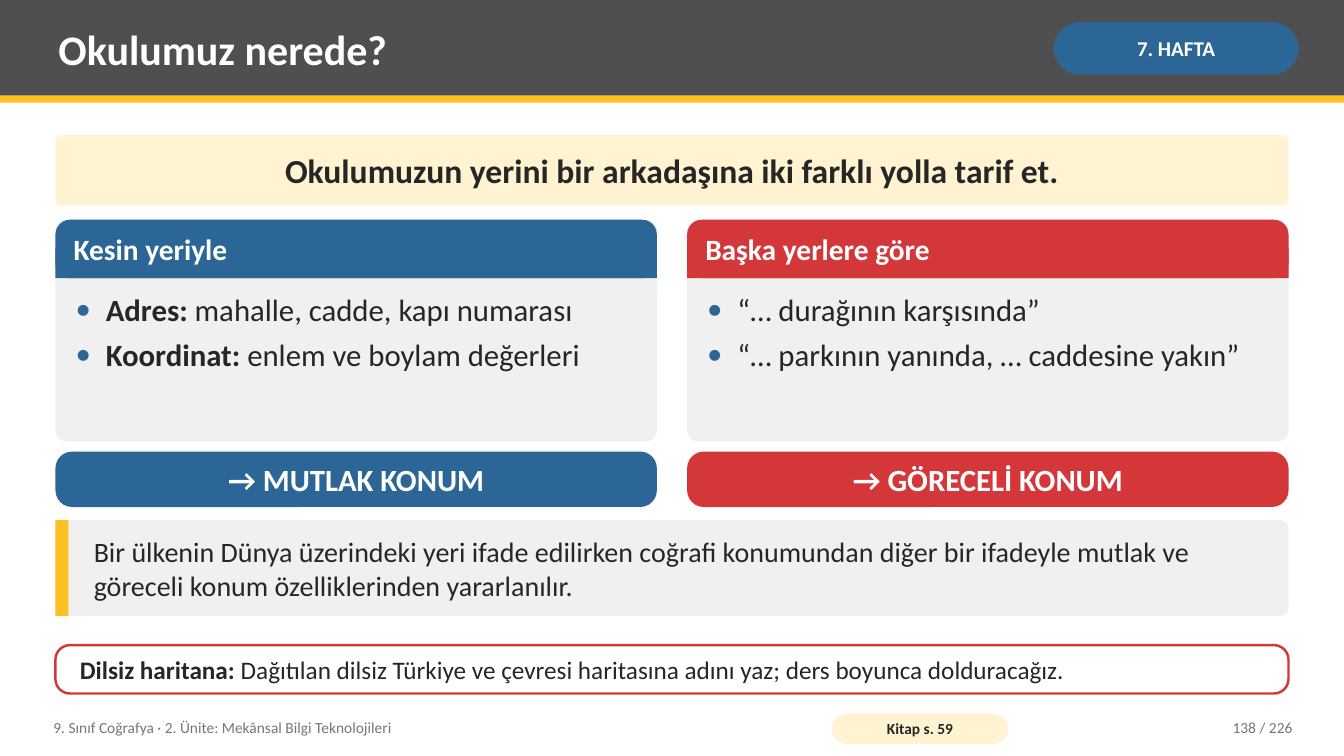
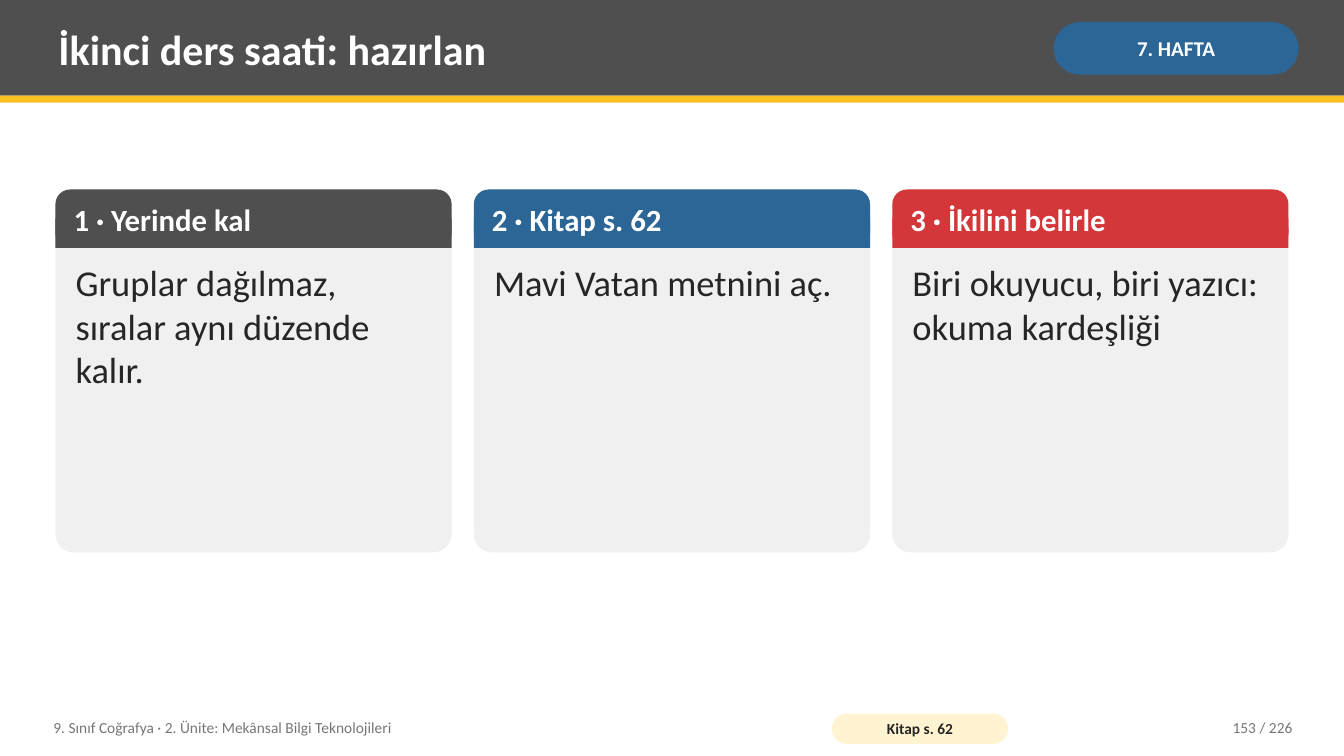
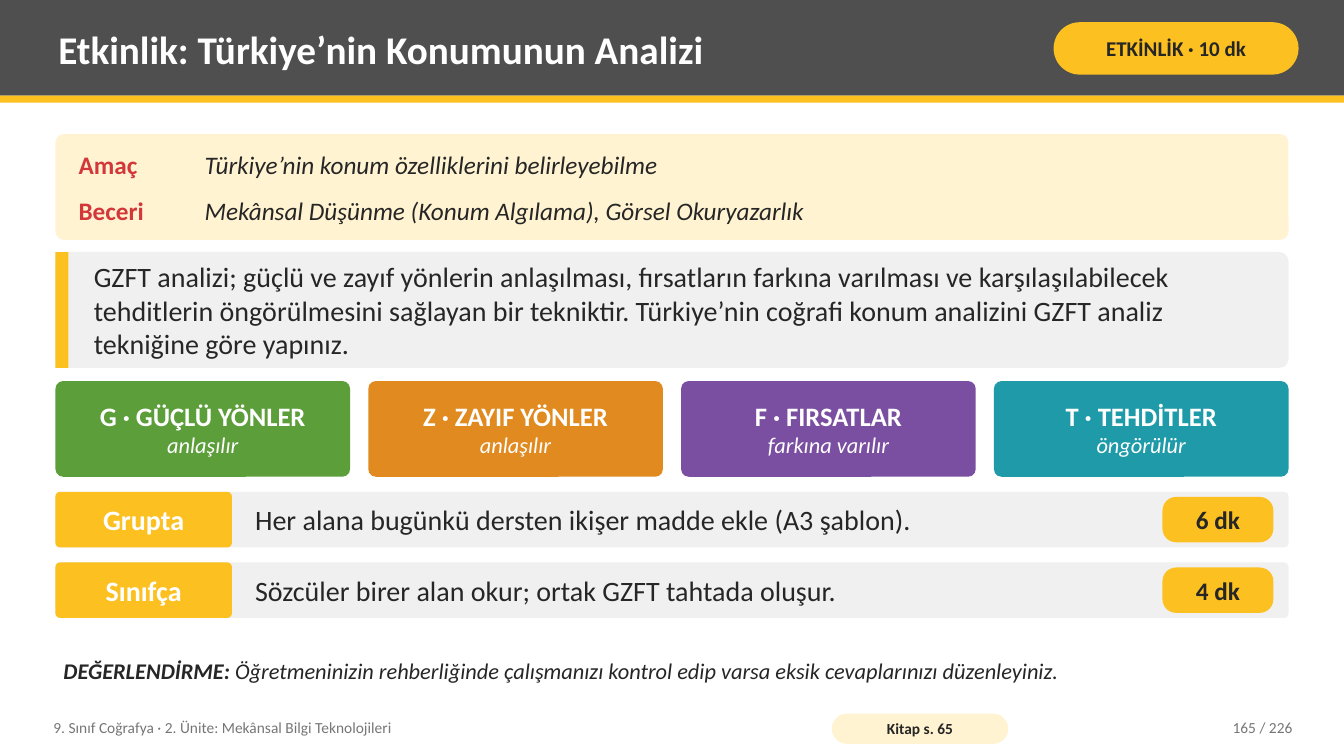
import pptx
import pptx.util
import pptx.enum.shapes
import pptx.enum.text
import pptx.dml.color
import pptx.oxml
import pptx.oxml.ns

W, H = 13.33, 7.5
M = 0.55
FULL = W - 2 * M
FONT = "Calibri"
C = {
    "band": "4F4F4F", "yellow": "FCC021", "blue": "2C6696", "red": "D3373A",
    "cream": "FFF3D1", "panel": "F0F0F0", "ink": "262626", "white": "FFFFFF",
    "muted": "767676", "green": "5C9E3A", "orange": "E08A1F",
    "purple": "7A4EA0", "teal": "1E9AA8",
}
RGB = {k: pptx.dml.color.RGBColor.from_string(v) for k, v in C.items()}
ALIGN = pptx.enum.text.PP_ALIGN
ANCHOR = pptx.enum.text.MSO_ANCHOR
SHAPE = pptx.enum.shapes.MSO_SHAPE
BOLD, PLAIN, ITALIC = {"bold": True}, {"bold": False}, {"italic": True}


def box(s, x, y, w, h, fill=None, adj=None, line=None):
    at = [pptx.util.Inches(v) for v in (x, y, w, h)]
    if fill is None:
        return s.shapes.add_textbox(*at)
    sp = s.shapes.add_shape(SHAPE.ROUNDED_RECTANGLE if adj else SHAPE.RECTANGLE, *at)
    sp.shadow.inherit = False
    if adj:
        sp.adjustments[0] = adj
    sp.fill.solid()
    sp.fill.fore_color.rgb = RGB[fill]
    if line:
        sp.line.color.rgb = RGB[line]
        sp.line.width = pptx.util.Pt(1.75)
    else:
        sp.line.fill.background()
    return sp


def write(sp, paras, size, color="ink", align=ALIGN.LEFT, anchor=ANCHOR.MIDDLE,
          ins=(0.08, 0.04), bullet=False, **fmt):
    tf = sp.text_frame
    dx, dy = [pptx.util.Inches(v) for v in ins]
    for k, v in {"word_wrap": True, "vertical_anchor": anchor, "margin_left": dx,
                 "margin_right": dx, "margin_top": dy, "margin_bottom": dy}.items():
        setattr(tf, k, v)
    if isinstance(paras, str):
        paras = [[(paras, {})]]
    for n, runs in enumerate(paras):
        p = tf.add_paragraph() if n else tf.paragraphs[0]
        p.alignment = align
        if bullet:
            pPr = p._p.get_or_add_pPr()
            pPr.set("marL", str(pptx.util.Inches(0.3)))
            pPr.set("indent", str(-pptx.util.Inches(0.3)))
            ns = pptx.oxml.ns.nsdecls("a")
            for xml in (f'<a:buClr {ns}><a:srgbClr val="{C["blue"]}"/></a:buClr>',
                        f'<a:buFont {ns} typeface="{FONT}"/>',
                        f'<a:buChar {ns} char="•"/>'):
                pPr.append(pptx.oxml.parse_xml(xml))
            p.space_after = pptx.util.Pt(6)
        for text, own in runs:
            r = p.add_run()
            r.text = text
            r.font.color.rgb = RGB[color]
            for k, v in {"name": FONT, "size": pptx.util.Pt(size), **fmt, **own}.items():
                setattr(r.font, k, v)


prs = pptx.Presentation()
prs.slide_width = pptx.util.Inches(W)
prs.slide_height = pptx.util.Inches(H)

slides = []
for title, size, tag, tag_fill, tag_color, book, number in [
    ("Okulumuz nerede?", 30, "7. HAFTA", "blue", "white", "Kitap s. 59", "138 / 226"),
    ("İkinci ders saati: hazırlan", 30, "7. HAFTA", "blue", "white", "Kitap s. 62", "153 / 226"),
    ("Etkinlik: Türkiye’nin Konumunun Analizi", 28, "ETKİNLİK · 10 dk", "yellow", "ink",
     "Kitap s. 65", "165 / 226"),
]:
    s = prs.slides.add_slide(prs.slide_layouts[6])
    slides.append(s)
    box(s, 0, 0, W, 0.95, "band")
    box(s, 0, 0.95, W, 0.07, "yellow")
    write(box(s, 0.5, 0.07, 9.75, 0.82), title, size, "white", bold=True)
    write(box(s, 10.45, 0.22, 2.43, 0.52, tag_fill, 0.5), tag, 15, tag_color,
          ALIGN.CENTER, ins=(0.05, 0.02), bold=True)
    write(box(s, 0.45, 7.04, 7.6, 0.36),
          "9. Sınıf Coğrafya · 2. Ünite: Mekânsal Bilgi Teknolojileri", 11, "muted")
    write(box(s, 8.25, 7.08, 1.75, 0.3, "cream", 0.5), book, 11, "ink",
          ALIGN.CENTER, ins=(0.04, 0), bold=True)
    write(box(s, 11.3, 7.04, 1.6, 0.36), number, 11, "muted", ALIGN.RIGHT)
where, ready, activity = slides

write(box(where, M, 1.34, FULL, 0.7, "cream", 0.08),
      "Okulumuzun yerini bir arkadaşına iki farklı yolla tarif et.", 24, "ink",
      ALIGN.CENTER, ins=(0.14, 0.02), bold=True)

for s, top, h, gap, head_size, body_size, bullet, cards in [
    (where, 2.18, 2.2, 0.3, 21, 22, True, [
        ("Kesin yeriyle", "blue", [
            [("Adres:", BOLD), (" mahalle, cadde, kapı numarası", PLAIN)],
            [("Koordinat:", BOLD), (" enlem ve boylam değerleri", PLAIN)]]),
        ("Başka yerlere göre", "red", [
            [("“… durağının karşısında”", {})],
            [("“… parkının yanında, … caddesine yakın”", {})]]),
    ]),
    (ready, 1.88, 3.6, 0.22, 22, 26, False, [
        ("1 · Yerinde kal", "band", "Gruplar dağılmaz, sıralar aynı düzende kalır."),
        ("2 · Kitap s. 62", "blue", "Mavi Vatan metnini aç."),
        ("3 · İkilini belirle", "red", "Biri okuyucu, biri yazıcı: okuma kardeşliği"),
    ]),
]:
    w = (FULL - gap * (len(cards) - 1)) / len(cards)
    for n, (head, fill, body) in enumerate(cards):
        x = M + n * (w + gap)
        box(s, x, top, w, h, "panel", 0.05)
        box(s, x, top, w, 0.58, fill, 0.25)
        box(s, x, top + 0.29, w, 0.29, fill)
        write(box(s, x + 0.1, top, w - 0.2, 0.58), head, head_size, "white", bold=True)
        write(box(s, x + 0.12, top + 0.66, w - 0.24, h - 0.74), body, body_size,
              anchor=ANCHOR.TOP, bullet=bullet)

w = (FULL - 0.3) / 2
for n, (text, fill) in enumerate([("→ MUTLAK KONUM", "blue"), ("→ GÖRECELİ KONUM", "red")]):
    write(box(where, M + n * (w + 0.3), 4.48, w, 0.55, fill, 0.3), text, 22, "white",
          ALIGN.CENTER, ins=(0.14, 0), bold=True)

box(activity, M, 1.33, FULL, 1.05, "cream", 0.08)
for y, h, label, text in [
    (1.39, 0.49, "Amaç", "Türkiye’nin konum özelliklerini belirleyebilme"),
    (1.86, 0.46, "Beceri", "Mekânsal Düşünme (Konum Algılama), Görsel Okuryazarlık"),
]:
    write(box(activity, 0.7, y, 1.25, h), label, 18, "red", bold=True)
    write(box(activity, 1.95, y, 10.63, h), text, 18, italic=True)

for s, y, h, text in [
    (where, 5.16, 0.95,
     "Bir ülkenin Dünya üzerindeki yeri ifade edilirken coğrafi konumundan diğer bir "
     "ifadeyle mutlak ve göreceli konum özelliklerinden yararlanılır."),
    (activity, 2.5, 1.15,
     "GZFT analizi; güçlü ve zayıf yönlerin anlaşılması, fırsatların farkına varılması ve "
     "karşılaşılabilecek tehditlerin öngörülmesini sağlayan bir tekniktir. Türkiye’nin "
     "coğrafi konum analizini GZFT analiz tekniğine göre yapınız."),
]:
    box(s, M, y, FULL, h, "panel", 0.08)
    box(s, M, y, 0.13, h, "yellow")
    write(box(s, M + 0.3, y, FULL - 0.45, h), text, 20)

write(box(where, M, 6.4, FULL, 0.48, "white", 0.3, "red"),
      [[("Dilsiz haritana:", BOLD),
        (" Dağıtılan dilsiz Türkiye ve çevresi haritasına adını yaz; ders boyunca "
         "dolduracağız.", PLAIN)]], 18, ins=(0.2, 0))

w = (FULL - 3 * 0.18) / 4
for n, (head, sub, fill) in enumerate([
    ("G · GÜÇLÜ YÖNLER", "anlaşılır", "green"),
    ("Z · ZAYIF YÖNLER", "anlaşılır", "orange"),
    ("F · FIRSATLAR", "farkına varılır", "purple"),
    ("T · TEHDİTLER", "öngörülür", "teal"),
]):
    write(box(activity, M + n * (w + 0.18), 3.78, w, 0.95, fill, 0.08),
          [[(head, BOLD)], [(sub, {"size": pptx.util.Pt(16), **ITALIC})]], 19, "white",
          ALIGN.CENTER, ins=(0.14, 0.02))

for n, (who, task, time) in enumerate([
    ("Grupta", "Her alana bugünkü dersten ikişer madde ekle (A3 şablon).", "6 dk"),
    ("Sınıfça", "Sözcüler birer alan okur; ortak GZFT tahtada oluşur.", "4 dk"),
]):
    y = 4.88 + n * 0.7
    box(activity, M, y, FULL, 0.55, "panel", 0.08)
    write(box(activity, M, y, 1.75, 0.55, "yellow", 0.08), who, 20, "white",
          ALIGN.CENTER, ins=(0.06, 0.08), bold=True)
    write(box(activity, M + 1.9, y, 8.88, 0.55), task, 20)
    write(box(activity, 11.53, y + 0.05, 1.1, 0.45, "yellow", 0.3), time, 18, "ink",
          ALIGN.CENTER, ins=(0.03, 0), bold=True)

write(box(activity, M, 6.43, FULL, 0.45),
      [[("DEĞERLENDİRME:", BOLD),
        (" Öğretmeninizin rehberliğinde çalışmanızı kontrol edip varsa eksik "
         "cevaplarınızı düzenleyiniz.", PLAIN)]], 16, italic=True)

prs.save("out.pptx")
